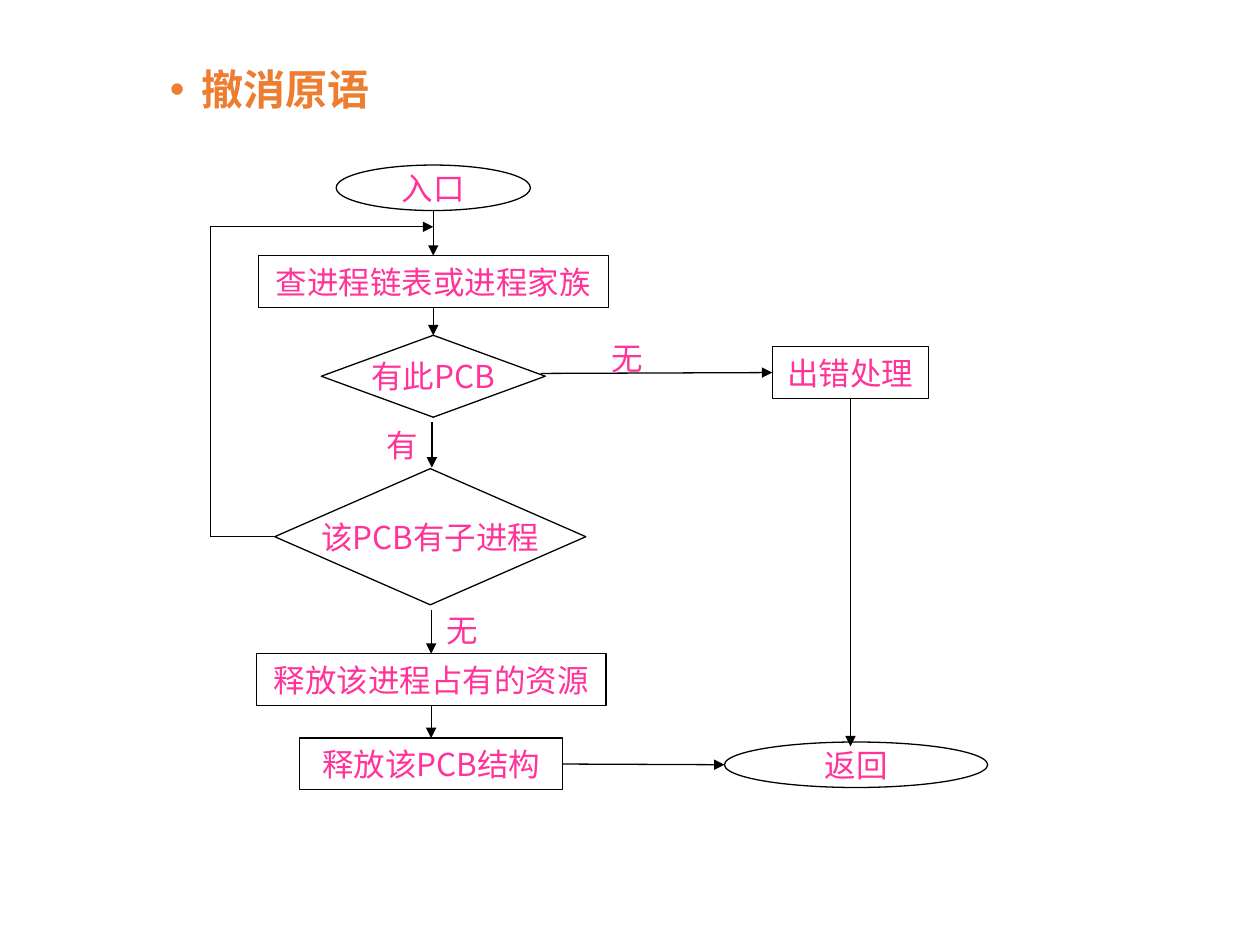
"""Build the flowchart slide of the process termination primitive."""
from dataclasses import dataclass
from typing import NamedTuple, Optional

from lxml import etree
from pptx import Presentation
from pptx.dml.color import RGBColor
from pptx.enum.shapes import MSO_CONNECTOR, MSO_SHAPE
from pptx.enum.text import MSO_ANCHOR, PP_ALIGN
from pptx.oxml.ns import qn
from pptx.shapes.autoshape import Shape
from pptx.slide import Slide
from pptx.util import Pt

OVAL, BOX, DECISION = MSO_SHAPE.OVAL, MSO_SHAPE.RECTANGLE, MSO_SHAPE.DIAMOND
STRAIGHT = MSO_CONNECTOR.STRAIGHT
MIDDLE = MSO_ANCHOR.MIDDLE
CENTER = PP_ALIGN.CENTER
TOP, LEFT, BOTTOM, RIGHT = range(4)


@dataclass(frozen=True)
class Theme:
    """Colours, fonts and sizes of the slide."""
    accent: RGBColor = RGBColor(0xED, 0x7D, 0x31)
    label: RGBColor = RGBColor(0xFF, 0x33, 0x99)
    line: RGBColor = RGBColor(0, 0, 0)
    title_font: str = "Calibri"
    label_font: str = "Noto Sans CJK SC"
    title_size: float = 24
    label_size: float = 18
    line_width: float = 0.75


class Step(NamedTuple):
    """A flowchart step, placed by its centre."""
    text: str
    kind: MSO_SHAPE
    center_x: float
    center_y: float
    width: float
    height: float


class Glue(NamedTuple):
    """A side of a named step."""
    step: str
    side: int


class Flow(NamedTuple):
    """A straight line between two points, glued where it meets a step."""
    start: tuple[float, float]
    end: tuple[float, float]
    source: Optional[Glue] = None
    target: Optional[Glue] = None
    arrow: bool = True


class Branch(NamedTuple):
    """A branch label."""
    text: str
    left: float
    top: float


THEME = Theme()
SPINE, RELEASE_X, ERROR_X, LOOP_X = 247.6, 246.4, 486, 120.2
LOOP_TOP, CHILD_Y, RETURN_Y = 129.6, 306.7, 437

STEPS = {
    "entry": Step("入口", OVAL, SPINE, 107.3, 111, 26),
    "lookup": Step("查进程链表或进程家族", BOX, SPINE, 160.9, 200, 29.6),
    "found": Step("有此PCB", DECISION, SPINE, 215, 128, 46.8),
    "resources": Step("释放该进程占有的资源", BOX, RELEASE_X, 388.4, 200, 29.6),
    "structure": Step("释放该PCB结构", BOX, RELEASE_X, 436.6, 150.4, 29.6),
    "return": Step("返回", OVAL, 489.2, 437, 150.4, 26),
    "error": Step("出错处理", BOX, ERROR_X, 212.9, 89.3, 29.6),
    "child": Step("该PCB有子进程", DECISION, 245.9, CHILD_Y, 177.8, 77.8),
}

FLOWS = [
    Flow((SPINE, 120.3), (SPINE, 146.1), target=Glue("lookup", TOP)),
    Flow((SPINE, 175.7), (SPINE, 191.6), Glue("lookup", BOTTOM), Glue("found", TOP)),
    Flow((246.8, 241.2), (246.8, 267.2)),
    Flow((RELEASE_X, 348.5), (RELEASE_X, 373.6), target=Glue("resources", TOP)),
    Flow((RELEASE_X, 403.2), (RELEASE_X, 421.8),
         Glue("resources", BOTTOM), Glue("structure", TOP)),
    Flow((308.9, 213.4), (441.4, 212.9), target=Glue("error", LEFT)),
    Flow((321.6, RETURN_Y), (414, RETURN_Y), Glue("structure", RIGHT)),
    Flow((ERROR_X, 227.7), (ERROR_X, 426.5), Glue("error", BOTTOM)),
    Flow((157, CHILD_Y), (LOOP_X, CHILD_Y), Glue("child", LEFT), arrow=False),
    Flow((LOOP_X, CHILD_Y), (LOOP_X, LOOP_TOP), arrow=False),
    Flow((LOOP_X, LOOP_TOP), (SPINE, LOOP_TOP)),
]

BRANCHES = [Branch("有", 213.8, 239.8), Branch("无", 342, 190.1), Branch("无", 247.7, 345.6)]


def write_label(shape: Shape, text: str) -> None:
    """Write centred label text into a shape."""
    frame = shape.text_frame
    frame.word_wrap = False
    frame.vertical_anchor = MIDDLE
    paragraph = frame.paragraphs[0]
    paragraph.text = text
    paragraph.alignment = CENTER
    paragraph.font.name = THEME.label_font
    paragraph.font.size = Pt(THEME.label_size)
    paragraph.font.color.rgb = THEME.label


def add_title(slide: Slide, text: str) -> None:
    """Add the bulleted heading."""
    box = slide.shapes.add_textbox(Pt(54), Pt(36), Pt(624), Pt(474))
    box.text_frame.word_wrap = True
    paragraph = box.text_frame.paragraphs[0]
    paragraph.text = text
    paragraph.level = 1
    paragraph.line_spacing = 0.9
    properties = paragraph._p.get_or_add_pPr()
    properties.set("marL", str(Pt(54)))
    properties.set("indent", str(Pt(-18)))
    etree.SubElement(properties, qn("a:buFont"), typeface="Arial")
    etree.SubElement(properties, qn("a:buChar"), char="•")
    paragraph.font.name = THEME.title_font
    paragraph.font.size = Pt(THEME.title_size)
    paragraph.font.bold = True
    paragraph.font.color.rgb = THEME.accent


def add_step(slide: Slide, step: Step) -> Shape:
    """Draw one step and return its shape."""
    shape = slide.shapes.add_shape(
        step.kind, Pt(step.center_x - step.width / 2), Pt(step.center_y - step.height / 2),
        Pt(step.width), Pt(step.height))
    shape.shadow.inherit = False
    shape.fill.background()
    shape.line.color.rgb = THEME.line
    shape.line.width = Pt(THEME.line_width)
    write_label(shape, step.text)
    return shape


def add_flow(slide: Slide, flow: Flow, drawn: dict[str, Shape]) -> None:
    """Draw one flow line."""
    connector = slide.shapes.add_connector(STRAIGHT, *map(Pt, flow.start + flow.end))
    if flow.source:
        connector.begin_connect(drawn[flow.source.step], flow.source.side)
    if flow.target:
        connector.end_connect(drawn[flow.target.step], flow.target.side)
    connector.line.color.rgb = THEME.line
    connector.line.width = Pt(THEME.line_width)
    if flow.arrow:
        etree.SubElement(connector.line._get_or_add_ln(), qn("a:tailEnd"), type="triangle")
    etree.SubElement(connector._element.spPr, qn("a:effectLst"))


def add_branch(slide: Slide, branch: Branch) -> None:
    """Write one branch label."""
    box = slide.shapes.add_textbox(Pt(branch.left), Pt(branch.top), Pt(32.4), Pt(28.8))
    write_label(box, branch.text)


def main() -> None:
    """Build and save the slide."""
    deck = Presentation()
    deck.slide_width, deck.slide_height = Pt(720), Pt(540)
    slide = deck.slides.add_slide(deck.slide_layouts[6])
    add_title(slide, "撤消原语")
    drawn = {key: add_step(slide, step) for key, step in STEPS.items()}
    for flow in FLOWS:
        add_flow(slide, flow, drawn)
    for branch in BRANCHES:
        add_branch(slide, branch)
    deck.save("out.pptx")


if __name__ == "__main__":
    main()
